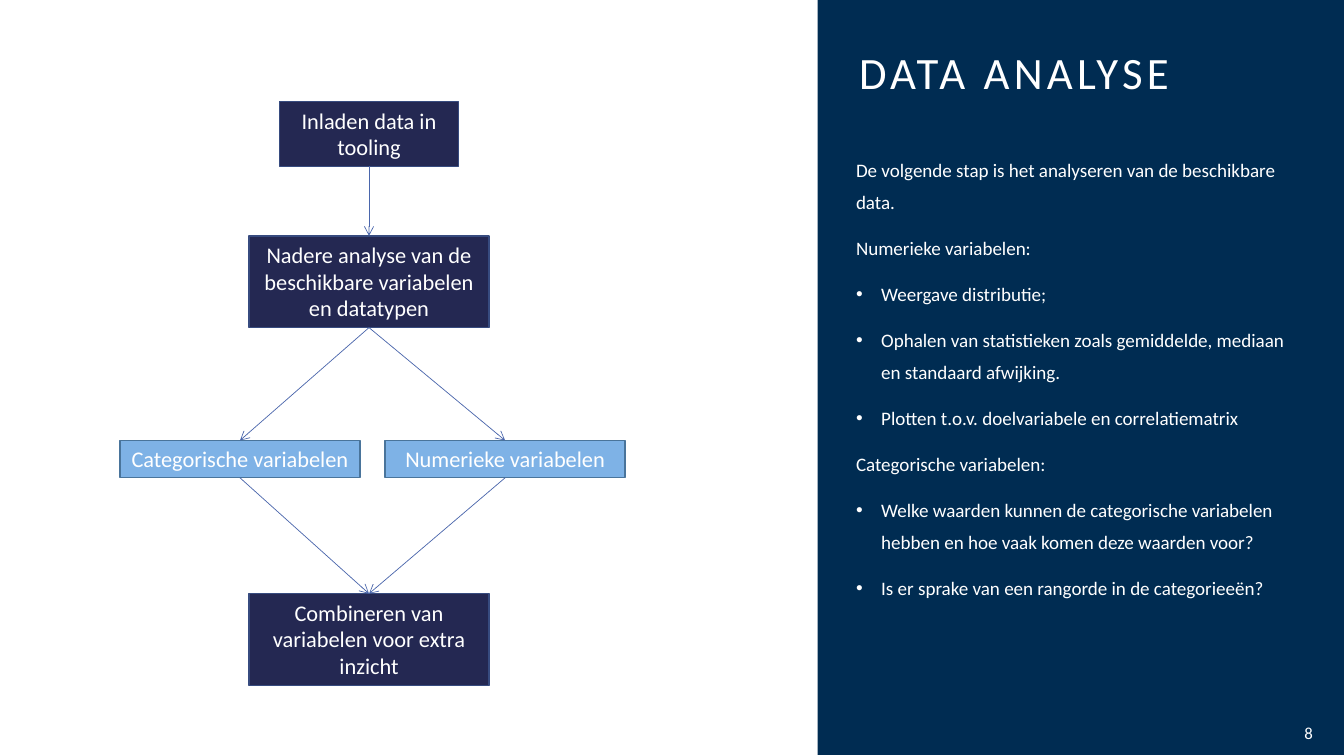
from lxml import etree
from pptx import Presentation, util as u
from pptx.dml.color import RGBColor
from pptx.enum import shapes, text
from pptx.oxml.ns import qn

WHITE = RGBColor(0xFF, 0xFF, 0xFF)
PANEL_BLUE = RGBColor(0x00, 0x2C, 0x52)
DARK, DARK_EDGE = RGBColor(0x24, 0x28, 0x52), RGBColor(0x37, 0x4B, 0x7F)
LIGHT, LIGHT_EDGE = RGBColor(0x7E, 0xB2, 0xE6), RGBColor(0x49, 0x74, 0x9B)
ARROW_BLUE = RGBColor(0x4A, 0x66, 0xAC)
FONT = "Calibri"

TITLE = "DATA ANALYSE"
PAGE_NUMBER = "8"
# (text, bulleted)
NOTES = [
    ("De volgende stap is het analyseren van de beschikbare data.", False),
    ("Numerieke variabelen:", False),
    ("Weergave distributie;", True),
    ("Ophalen van statistieken zoals gemiddelde, mediaan en standaard afwijking.", True),
    ("Plotten t.o.v. doelvariabele en correlatiematrix", True),
    ("Categorische variabelen:", False),
    ("Welke waarden kunnen de categorische variabelen hebben en hoe vaak komen deze waarden voor?", True),
    ("Is er sprake van een rangorde in de categorieeën?", True),
]

# Flow chart: column centres, and rows as (top, height), in inches
COLUMNS = {"left": 2.38, "middle": 3.66, "right": 5.01}
ROWS = [(1.01, 0.64), (2.34, 0.91), (4.37, 0.37), (5.89, 0.91)]
STEP_WIDTH = 2.38
# name: (text, column, row, width, fill, edge)
STEPS = {
    "load": ("Inladen data in tooling", "middle", 0, 1.78, DARK, DARK_EDGE),
    "analyse": ("Nadere analyse van de beschikbare variabelen en datatypen",
                "middle", 1, STEP_WIDTH, DARK, DARK_EDGE),
    "numeric": ("Numerieke variabelen", "right", 2, STEP_WIDTH, LIGHT, LIGHT_EDGE),
    "category": ("Categorische variabelen", "left", 2, STEP_WIDTH, LIGHT, LIGHT_EDGE),
    "combine": ("Combineren van variabelen voor extra inzicht",
                "middle", 3, STEP_WIDTH, DARK, DARK_EDGE),
}
ARROWS = [("load", "analyse"), ("analyse", "numeric"), ("analyse", "category"),
          ("numeric", "combine"), ("category", "combine")]
TOP_SITE, BOTTOM_SITE = 0, 2


def style(para, size, align=text.PP_ALIGN.LEFT):
    para.alignment = align
    para.font.name = FONT
    para.font.size = u.Pt(size)
    para.font.color.rgb = WHITE


def add_rect(page, left, top, width, height, fill):
    rect = page.shapes.add_shape(shapes.MSO_SHAPE.RECTANGLE, u.Inches(left),
                                 u.Inches(top), u.Inches(width), u.Inches(height))
    rect.shadow.inherit = False
    rect.fill.solid()
    rect.fill.fore_color.rgb = fill
    return rect


def add_text_box(page, left, top, width, height, side_margin=0.0,
                 anchor=text.MSO_ANCHOR.MIDDLE):
    box = page.shapes.add_textbox(u.Inches(left), u.Inches(top),
                                  u.Inches(width), u.Inches(height))
    frame = box.text_frame
    frame.word_wrap = True
    frame.vertical_anchor = anchor
    frame.margin_left = frame.margin_right = u.Inches(side_margin)
    return frame


def add_bullet(para):
    props = para._p.get_or_add_pPr()
    props.set("marL", str(u.Inches(0.25)))
    props.set("indent", str(u.Inches(-0.25)))
    etree.SubElement(props, qn("a:buFont")).set("typeface", "Arial")
    etree.SubElement(props, qn("a:buChar")).set("char", "•")


def add_panel(page):
    add_rect(page, 8.11, 0, 5.22, 7.49, PANEL_BLUE).line.fill.background()

    para = add_text_box(page, 8.52, 0.4, 4.39, 0.63).paragraphs[0]
    span = para.add_run()
    span.text = TITLE
    span._r.get_or_add_rPr().set("spc", "300")
    style(para, 32)

    frame = add_text_box(page, 8.49, 1.43, 4.39, 5.07, anchor=text.MSO_ANCHOR.TOP)
    for index, (words, bulleted) in enumerate(NOTES):
        para = frame.add_paragraph() if index else frame.paragraphs[0]
        para.text = words
        para.line_spacing = 1.4
        para.space_before = u.Pt(10 if index else 0)
        if bulleted:
            add_bullet(para)
        style(para, 13.6)

    para = add_text_box(page, 12.63, 7.07, 0.49, 0.4, side_margin=0.1).paragraphs[0]
    para.text = PAGE_NUMBER
    style(para, 12, text.PP_ALIGN.RIGHT)


def add_step(page, words, column, row, width, fill, edge):
    top, height = ROWS[row]
    box = add_rect(page, COLUMNS[column] - width / 2, top, width, height, fill)
    box.line.color.rgb = edge
    box.line.width = u.Pt(1)
    frame = box.text_frame
    frame.word_wrap = True
    frame.vertical_anchor = text.MSO_ANCHOR.TOP
    frame.auto_size = text.MSO_AUTO_SIZE.SHAPE_TO_FIT_TEXT
    para = frame.paragraphs[0]
    para.text = words
    style(para, 16, text.PP_ALIGN.CENTER)
    return box


def add_arrow(page, start, end):
    arrow = page.shapes.add_connector(shapes.MSO_CONNECTOR.STRAIGHT, 0, 0, 0, 0)
    arrow.begin_connect(start, BOTTOM_SITE)
    arrow.end_connect(end, TOP_SITE)
    arrow.line.color.rgb = ARROW_BLUE
    arrow.line.width = u.Pt(0.5)
    etree.SubElement(arrow.line._get_or_add_ln(), qn("a:tailEnd")).set("type", "arrow")
    etree.SubElement(arrow._element.spPr, qn("a:effectLst"))


def main():
    deck = Presentation()
    deck.slide_width, deck.slide_height = u.Inches(13.33), u.Inches(7.5)
    page = deck.slides.add_slide(deck.slide_layouts[6])
    add_panel(page)
    boxes = {name: add_step(page, *step) for name, step in STEPS.items()}
    for start, end in ARROWS:
        add_arrow(page, boxes[start], boxes[end])
    deck.save("out.pptx")


if __name__ == "__main__":
    main()
